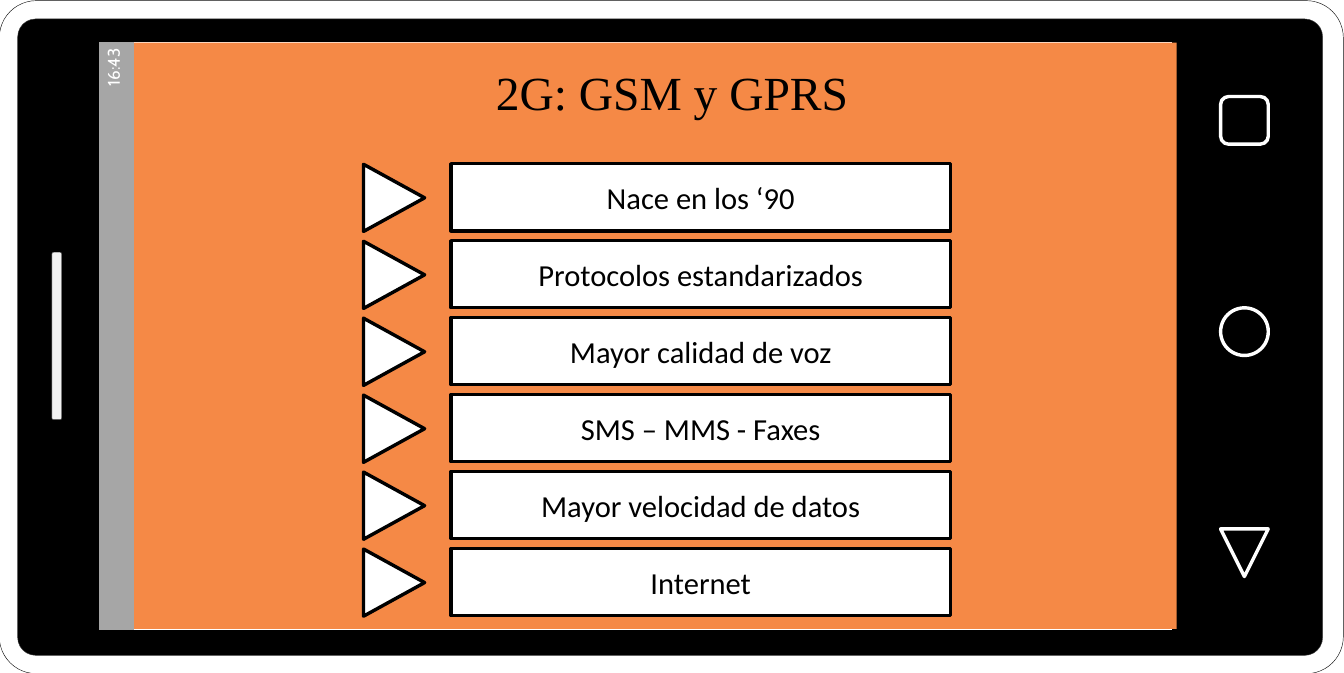
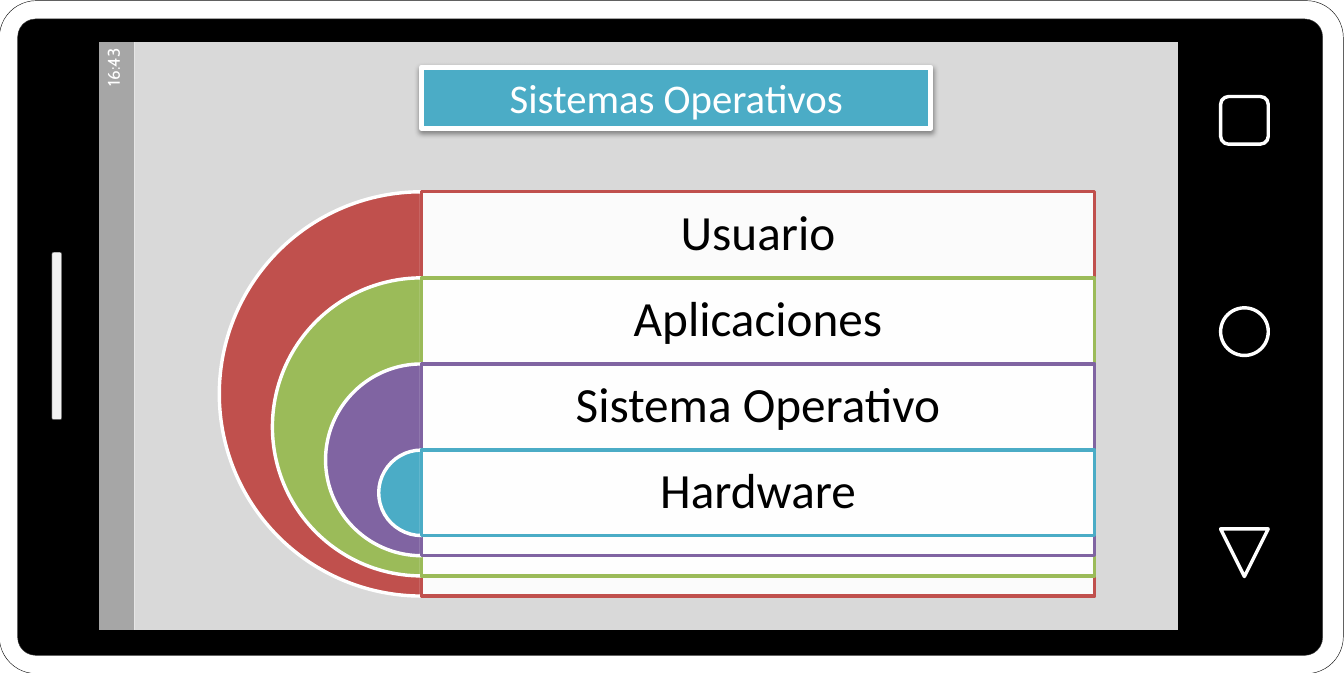
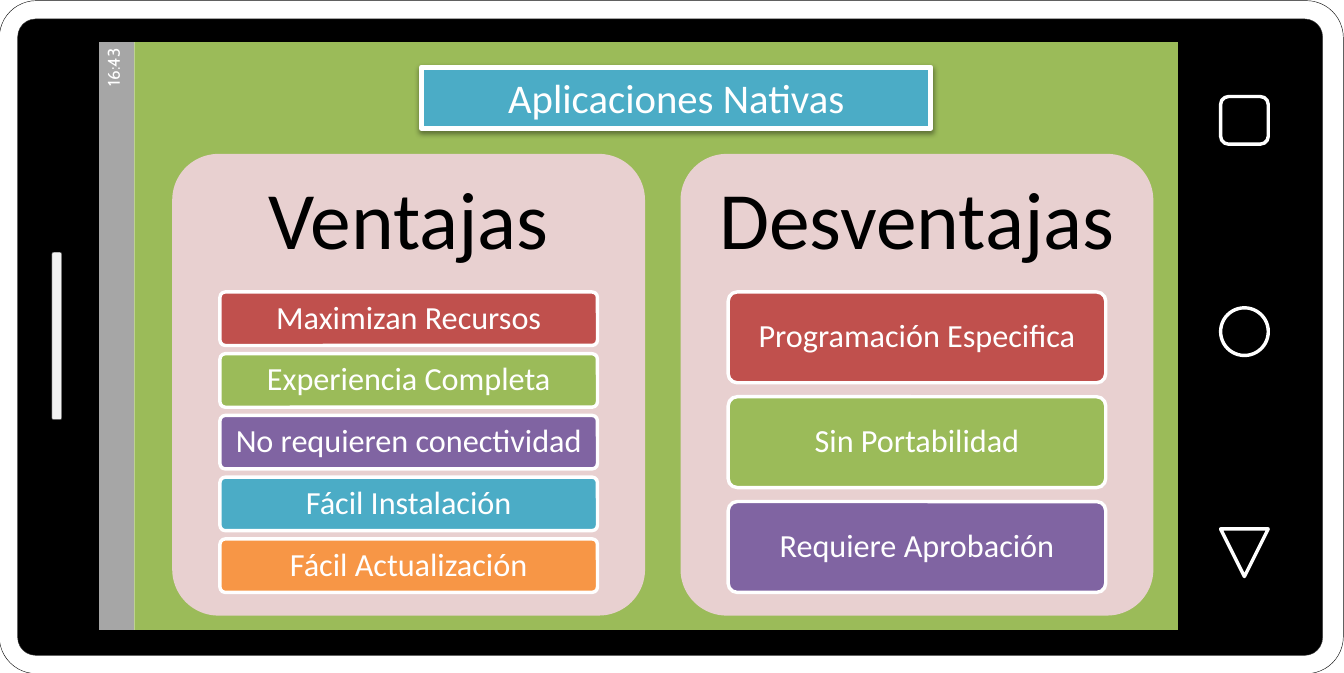
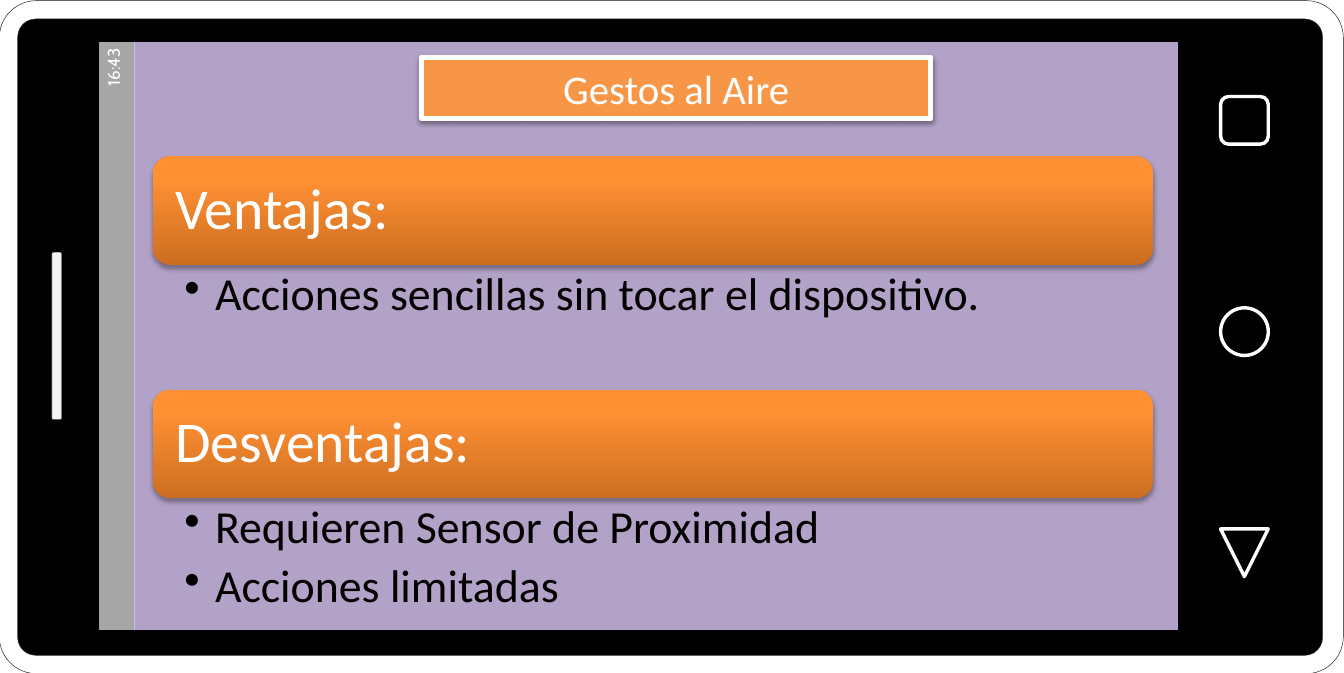
from dataclasses import dataclass
from typing import NamedTuple, Optional

from lxml.etree import SubElement
from pptx import Presentation
from pptx.dml.color import RGBColor
from pptx.enum.shapes import MSO_CONNECTOR, MSO_SHAPE
from pptx.enum.text import MSO_ANCHOR, MSO_AUTO_SIZE, PP_ALIGN
from pptx.oxml.ns import qn
from pptx.shapes.autoshape import Shape
from pptx.slide import Slide
from pptx.text.text import TextFrame
from pptx.util import Inches, Pt


@dataclass(frozen=True)
class Theme:
    """Colours, fonts and type sizes shared by the slides."""
    white: str = "FFFFFF"
    black: str = "000000"
    case_edge: str = "0D0D0D"
    glass_edge: str = "404040"
    speaker: str = "F2F2F2"
    divider: str = "A6A6A6"
    grey: str = "D9D9D9"
    screen_orange: str = "F58946"
    lilac: str = "B3A2C7"
    pink: str = "E8D0D0"
    red: str = "C0504D"
    green: str = "9BBB59"
    purple: str = "8064A2"
    teal: str = "4BACC6"
    orange: str = "F79646"
    gradient: tuple = ((0, "CC6E20"), (80, "FF9034"), (100, "FF9136"))
    font: str = "Calibri"
    serif: str = "Times New Roman"
    clock_font: str = "Cabin"
    clock: int = 10
    item: int = 18
    chip: int = 19
    title: int = 24
    bullet: int = 27
    plain_title: int = 28
    layer: int = 29
    header: int = 34
    panel: int = 48


T = Theme()
ACCENTS = (T.red, T.green, T.purple, T.teal, T.orange)


class Box(NamedTuple):
    """A frame in inches."""
    left: float
    top: float
    width: float
    height: float


@dataclass(frozen=True)
class Look:
    """Fill, outline and geometry of a shape."""
    fill: Optional[str] = None
    line: Optional[str] = None
    weight: float = 2
    rotation: int = 0
    adjust: tuple = ()
    alpha: int = 100


@dataclass(frozen=True)
class Style:
    """Type and paragraph settings of a text."""
    size: int
    color: str = T.black
    font: str = T.font
    align: PP_ALIGN = PP_ALIGN.CENTER
    anchor: MSO_ANCHOR = MSO_ANCHOR.MIDDLE
    inset: tuple = (0.1, 0.05)
    spacing: Optional[float] = None
    after: float = 0
    bullet: bool = False
    grow: bool = False


class Part(NamedTuple):
    """One piece of the phone body."""
    kind: MSO_SHAPE
    box: Box
    look: Look


class Panel(NamedTuple):
    """A titled column of chips."""
    left: float
    title: str
    chips: tuple


class Section(NamedTuple):
    """A header with its bullets."""
    top: float
    header: str
    bullets: tuple


ICON = Look(line=T.white)
ICON_UP_DOWN = Look(line=T.white, rotation=180)
PHONE = (
    Part(MSO_SHAPE.ROUNDED_RECTANGLE, Box(2.74, -2.74, 5.51, 11),
         Look(T.white, T.case_edge, 0.25, 270, (0.055,))),
    Part(MSO_SHAPE.ROUNDED_RECTANGLE, Box(2.88, -2.58, 5.21, 10.68),
         Look(T.black, T.glass_edge, 0.25, 270, (0.028,))),
    Part(MSO_SHAPE.RECTANGLE, Box(2.77, -1.66, 4.83, 8.82),
         Look(T.white, T.black, 0.25, 270)),
    Part(MSO_SHAPE.ROUNDED_RECTANGLE, Box(-0.22, 2.71, 1.37, 0.08),
         Look(T.speaker, T.glass_edge, 0.25, 270)),
    Part(MSO_SHAPE.ISOSCELES_TRIANGLE, Box(9.99, 4.33, 0.39, 0.39), ICON_UP_DOWN),
    Part(MSO_SHAPE.OVAL, Box(9.99, 2.52, 0.39, 0.39), ICON),
    Part(MSO_SHAPE.ROUNDED_RECTANGLE, Box(9.99, 0.79, 0.39, 0.39), ICON),
)
SCREEN = Box(1.1, 0.33, 8.58, 4.84)

CLOCK = Style(T.clock, T.white, T.clock_font, PP_ALIGN.RIGHT, inset=(0.05, 0.05))
PLAIN_TITLE = Style(T.plain_title, font=T.serif, anchor=MSO_ANCHOR.TOP, grow=True)
TITLE = Style(T.title, T.white, anchor=MSO_ANCHOR.TOP, grow=True)
ITEM = Style(T.item)
LAYER = Style(T.layer, inset=(0.12, 0.12), spacing=0.9)
PANEL_TITLE = Style(T.panel, inset=(0.2, 0.2), spacing=0.9)
CHIP = Style(T.chip, T.white, inset=(0.05, 0.04), spacing=0.9)
HEADER = Style(T.header, T.white, align=PP_ALIGN.LEFT, inset=(0.14, 0.14), spacing=0.9)
BULLETS = Style(T.bullet, align=PP_ALIGN.LEFT, anchor=MSO_ANCHOR.TOP,
                inset=(0.26, 0.05), spacing=0.9, after=5.4, bullet=True)


def rgb(color: str) -> RGBColor:
    """Turn a hex string into a colour."""
    return RGBColor.from_string(color)


def inches(box: Box) -> tuple:
    """Give the frame as lengths."""
    return tuple(Inches(v) for v in box)


def add_alpha(color_element, percent: int) -> None:
    """Set the opacity of a colour element."""
    SubElement(color_element, qn("a:alpha")).set("val", str(percent * 1000))


def draw(s: Slide, kind: MSO_SHAPE, box: Box, look: Look) -> Shape:
    """Draw a preset shape without a shadow."""
    sp = s.shapes.add_shape(kind, *inches(box))
    sp.shadow.inherit = False
    sp.rotation = look.rotation
    for i, value in enumerate(look.adjust):
        sp.adjustments[i] = value
    if look.fill:
        sp.fill.solid()
        sp.fill.fore_color.rgb = rgb(look.fill)
        if look.alpha < 100:
            add_alpha(sp.element.spPr.find(qn("a:solidFill"))[0], look.alpha)
    else:
        sp.fill.background()
    if look.line:
        sp.line.color.rgb = rgb(look.line)
        sp.line.width = Pt(look.weight)
    else:
        sp.line.fill.background()
    return sp


def write(tf: TextFrame, style: Style, *texts: str) -> None:
    """Write one paragraph for each text."""
    tf.word_wrap = True
    tf.auto_size = MSO_AUTO_SIZE.SHAPE_TO_FIT_TEXT if style.grow else MSO_AUTO_SIZE.NONE
    tf.vertical_anchor = style.anchor
    tf.margin_left = tf.margin_right = Inches(style.inset[0])
    tf.margin_top = tf.margin_bottom = Inches(style.inset[1])
    for i, text in enumerate(texts):
        p = tf.add_paragraph() if i else tf.paragraphs[0]
        if style.bullet:
            p.level = 1
            pPr = p._p.get_or_add_pPr()
            pPr.set("marL", str(Inches(0.25)))
            pPr.set("indent", str(Inches(-0.25)))
            SubElement(pPr, qn("a:buChar")).set("char", "•")
        p.alignment = style.align
        if style.spacing:
            p.line_spacing = style.spacing
        if style.after:
            p.space_after = Pt(style.after)
        r = p.add_run()
        r.text = text
        r.font.size = Pt(style.size)
        r.font.name = style.font
        r.font.color.rgb = rgb(style.color)


def add_text(s: Slide, box: Box, style: Style, *texts: str) -> None:
    """Add a text box."""
    write(s.shapes.add_textbox(*inches(box)).text_frame, style, *texts)


def cast_shadow(sp: Shape, opacity: int, distance: float) -> None:
    """Give a shape a soft shadow that falls downwards."""
    effects = sp.element.spPr.find(qn("a:effectLst"))
    shadow = SubElement(effects, qn("a:outerShdw"), blurRad=str(Pt(3.1)),
                        dist=str(Pt(distance)), dir="5400000", rotWithShape="0")
    add_alpha(SubElement(shadow, qn("a:srgbClr"), val=T.black), opacity)


def fill_gradient(sp: Shape) -> None:
    """Fill a shape with the theme gradient, dark at the foot."""
    sp.fill.gradient()
    sp.fill.gradient_angle = 90
    stops = sp.element.spPr.find(qn("a:gradFill")).find(qn("a:gsLst"))
    for stop in list(stops):
        stops.remove(stop)
    for position, color in T.gradient:
        gs = SubElement(stops, qn("a:gs"), pos=str(position * 1000))
        SubElement(gs, qn("a:srgbClr"), val=color)


def add_phone(prs: Presentation, color: str, screen: Box = SCREEN) -> Slide:
    """Add a slide with the phone body and a coloured screen."""
    s = prs.slides.add_slide(prs.slide_layouts[6])
    for part in PHONE:
        draw(s, part.kind, part.box, part.look)
    status = draw(s, MSO_SHAPE.RECTANGLE, Box(-1.49, 2.61, 4.83, 0.3),
                  Look(T.black, rotation=270, alpha=35))
    write(status.text_frame, CLOCK, "16:43")
    draw(s, MSO_SHAPE.RECTANGLE, screen, Look(color))
    divider = s.shapes.add_connector(MSO_CONNECTOR.STRAIGHT, Inches(1.08), Inches(0.31),
                                     Inches(1.08), Inches(5.2))
    divider.line.color.rgb = rgb(T.divider)
    divider.line.width = Pt(2)
    SubElement(divider.element.spPr, qn("a:effectLst"))
    draw(s, MSO_SHAPE.RECTANGLE, Box(0.78, 0.31, 8.9, 4.88), Look(line=T.black, weight=5))
    return s


def add_title(s: Slide, text: str, color: str = T.teal, top: float = 0.55) -> None:
    """Add the framed title."""
    sp = draw(s, MSO_SHAPE.RECTANGLE, Box(3.45, top, 4.17, 0.5), Look(color, T.white, 3))
    cast_shadow(sp, 38, 1.6)
    write(sp.text_frame, TITLE, text)


def add_gsm(prs: Presentation) -> None:
    """Build the list of 2G features."""
    s = add_phone(prs, T.screen_orange, Box(1.09, 0.35, 8.54, 4.8))
    add_text(s, Box(2.98, 0.47, 5.04, 0.57), PLAIN_TITLE, "2G: GSM y GPRS")
    features = ("Nace en los ‘90", "Protocolos estandarizados", "Mayor calidad de voz",
                "SMS – MMS - Faxes", "Mayor velocidad de datos", "Internet")
    for i, feature in enumerate(features):
        top = 1.34 + 0.63 * i
        draw(s, MSO_SHAPE.ISOSCELES_TRIANGLE, Box(2.95, top + 0.03, 0.55, 0.5),
             Look(T.white, T.black, rotation=90))
        sp = draw(s, MSO_SHAPE.RECTANGLE, Box(3.69, top, 4.09, 0.55), Look(T.white, T.black))
        write(sp.text_frame, ITEM, feature)


def add_systems(prs: Presentation) -> None:
    """Build the nested layers of a system."""
    s = add_phone(prs, T.grey)
    center, width, step = 3.45, 5.51, 0.705
    layers = ("Usuario", "Aplicaciones", "Sistema Operativo", "Hardware")
    for i, (layer, color) in enumerate(zip(layers, ACCENTS)):
        top, size = 1.57 + step * i, 3.31 - 0.87 * i
        draw(s, MSO_SHAPE.PIE, Box(center - size / 2, top, size, size),
             Look(color, T.white, adjust=(54, 162)))
        draw(s, MSO_SHAPE.RECTANGLE, Box(center, top, width, size),
             Look(T.white, color, alpha=90))
        add_text(s, Box(center, top, width, 0.7), LAYER, layer)
    add_title(s, "Sistemas Operativos")


def add_panel(s: Slide, panel: Panel) -> None:
    """Draw a panel whose chips share its height."""
    draw(s, MSO_SHAPE.ROUNDED_RECTANGLE, Box(panel.left, 1.26, 3.87, 3.78),
         Look(T.pink, adjust=(0.1,)))
    add_text(s, Box(panel.left, 1.26, 3.87, 1.13), PANEL_TITLE, panel.title)
    count, gap = len(panel.chips), 0.154
    height = 2.46 / (count + (count - 1) * gap)
    for i, (chip, color) in enumerate(zip(panel.chips, ACCENTS)):
        box = Box(panel.left + 0.39, 2.39 + i * height * (1 + gap), 3.09, height)
        sp = draw(s, MSO_SHAPE.ROUNDED_RECTANGLE, box, Look(color, T.white, adjust=(0.1,)))
        write(sp.text_frame, CHIP, chip)


def add_native_apps(prs: Presentation) -> None:
    """Build the two panels on native applications."""
    s = add_phone(prs, T.green)
    add_title(s, "Aplicaciones Nativas")
    panels = (
        Panel(1.41, "Ventajas", ("Maximizan Recursos", "Experiencia Completa",
                                 "No requieren conectividad", "Fácil Instalación",
                                 "Fácil Actualización")),
        Panel(5.57, "Desventajas", ("Programación Especifica", "Sin Portabilidad",
                                    "Requiere Aprobación")),
    )
    for panel in panels:
        add_panel(s, panel)


def add_gestures(prs: Presentation) -> None:
    """Build the headers and bullets on gestures."""
    s = add_phone(prs, T.lilac)
    sections = (
        Section(1.28, "Ventajas:", ("Acciones sencillas sin tocar el dispositivo.",)),
        Section(3.19, "Desventajas:", ("Requieren Sensor de Proximidad",
                                       "Acciones limitadas")),
    )
    for section in sections:
        sp = draw(s, MSO_SHAPE.ROUNDED_RECTANGLE, Box(1.25, section.top, 8.19, 0.89), Look())
        fill_gradient(sp)
        cast_shadow(sp, 35, 1.8)
        write(sp.text_frame, HEADER, section.header)
        add_text(s, Box(1.25, section.top + 0.89, 8.19, 1.02), BULLETS, *section.bullets)
    add_title(s, "Gestos al Aire", T.orange, 0.47)


def main() -> None:
    """Build and save the presentation."""
    prs = Presentation()
    prs.slide_width, prs.slide_height = Inches(11), Inches(5.51)
    for add_slide in (add_gsm, add_systems, add_native_apps, add_gestures):
        add_slide(prs)
    prs.save("out.pptx")


if __name__ == "__main__":
    main()
